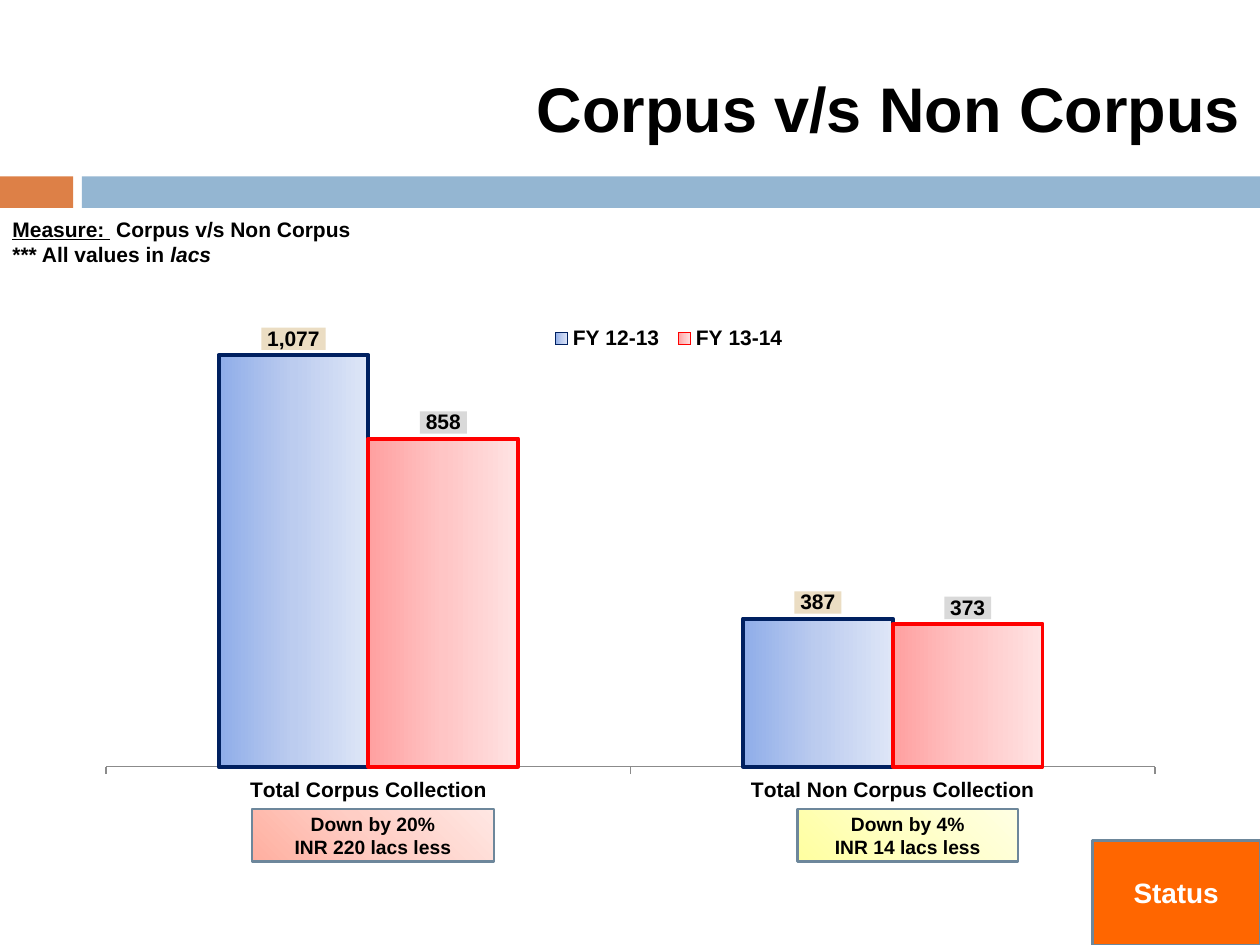
"""Build the slide comparing corpus and non corpus collections."""
from copy import deepcopy
from dataclasses import dataclass

from lxml import etree
from pptx import Presentation
from pptx.chart.data import CategoryChartData
from pptx.dml.color import RGBColor
from pptx.enum.chart import XL_CHART_TYPE, XL_LABEL_POSITION, XL_LEGEND_POSITION, XL_TICK_MARK
from pptx.enum.shapes import MSO_SHAPE
from pptx.enum.text import MSO_ANCHOR, MSO_AUTO_SIZE, PP_ALIGN
from pptx.oxml.ns import qn
from pptx.util import Inches, Pt

COLUMNS = XL_CHART_TYPE.COLUMN_CLUSTERED
OUTSIDE_END = XL_LABEL_POSITION.OUTSIDE_END
LEGEND_TOP = XL_LEGEND_POSITION.TOP
TICK_OUTSIDE, TICK_NONE = XL_TICK_MARK.OUTSIDE, XL_TICK_MARK.NONE
RECTANGLE = MSO_SHAPE.RECTANGLE
MIDDLE = MSO_ANCHOR.MIDDLE
LEFT, CENTER = PP_ALIGN.LEFT, PP_ALIGN.CENTER
NO_AUTOSIZE = MSO_AUTO_SIZE.NONE
TITLE_ONLY = 5


@dataclass(frozen=True)
class Theme:
    """Fonts, type sizes and colours of the slide."""
    font: str = "Arial"
    title_size: float = 36
    status_size: float = 16
    body_size: float = 12
    note_size: float = 11
    text: str = "000000"
    light_text: str = "FFFFFF"
    accent: str = "DD8047"
    band: str = "94B6D2"
    status: str = "FF6600"
    outline: str = "6D879B"
    axis: str = "8B8B8B"
    blues: tuple = ("8FADE9", "BCCCEF", "DEE6F7")
    reds: tuple = ("FFA0A0", "FFC5C5", "FFE3E3")
    yellows: tuple = ("FFFFA0", "FFFFC5", "FFFFE3")
    pinks: tuple = ("FFAFA0", "FFCEC5", "FFE7E3")
    blue_line: str = "002060"
    red_line: str = "FF0000"
    tan_label: str = "EBDDC3"
    grey_label: str = "D9D9D9"


THEME = Theme()
NUMBER_FORMAT = '_ * #,##0_ ;_ * \\-#,##0_ ;_ * "-"??_ ;_ '
CATEGORIES = ("Total Corpus Collection", "Total Non Corpus Collection")
SERIES = (
    ("FY 12-13", (1077, 387), THEME.blues, THEME.blue_line, THEME.tan_label),
    ("FY 13-14", (858, 373), THEME.reds, THEME.red_line, THEME.grey_label),
)


def place(*lengths):
    """Convert left, top, width and height from inches."""
    return tuple(Inches(length) for length in lengths)


def style_font(font, size, color=THEME.text):
    """Apply the bold slide font in a given size and colour."""
    font.name, font.size, font.bold = THEME.font, Pt(size), True
    font.color.rgb = RGBColor.from_string(color)


def paint(fill, color):
    """Fill with one solid colour."""
    fill.solid()
    fill.fore_color.rgb = RGBColor.from_string(color)


def paint_gradient(fill, element, colors, angle):
    """Fill with three evenly spaced colours."""
    fill.gradient()
    fill.gradient_angle = angle
    stop_list = element.find(".//" + qn("a:gsLst"))
    first_stop = stop_list[0]
    stops = [deepcopy(first_stop) for _ in colors]
    for stop, color, position in zip(stops, colors, (0, 50000, 100000)):
        stop.set("pos", str(position))
        stop.remove(stop[0])
        etree.SubElement(stop, qn("a:srgbClr"), val=color)
    stop_list[:] = stops


def draw_line(line, color, width):
    """Set the colour and width of a line."""
    line.color.rgb = RGBColor.from_string(color)
    line.width = Pt(width)


def add_box(slide, box, colors, lines=(), size=THEME.note_size, color=THEME.text):
    """Add a rectangle, outlined and centred when it carries text."""
    shape = slide.shapes.add_shape(RECTANGLE, *place(*box))
    shape.shadow.inherit = False
    if isinstance(colors, str):
        paint(shape.fill, colors)
    else:
        paint_gradient(shape.fill, shape._element, colors, 45)
    if not lines:
        shape.line.fill.background()
        return
    draw_line(shape.line, THEME.outline, 1.5)
    frame = shape.text_frame
    frame.vertical_anchor = MIDDLE
    frame.text = "\n".join(lines)
    for paragraph in frame.paragraphs:
        paragraph.alignment = CENTER
        style_font(paragraph.font, size, color)


def set_title(slide, text):
    """Move and format the title placeholder."""
    title = slide.shapes.title
    title.left, title.top, title.width, title.height = place(4.16, 0.5, 5.84, 0.71)
    frame = title.text_frame
    frame.text = text
    frame.word_wrap = False
    frame.auto_size = NO_AUTOSIZE
    frame.vertical_anchor = MIDDLE
    paragraph = frame.paragraphs[0]
    paragraph.alignment = LEFT
    style_font(paragraph.font, THEME.title_size)


def add_measure(slide):
    """Add the note on the measure and its unit."""
    frame = slide.shapes.add_textbox(*place(0, 1.67, 2.91, 0.71)).text_frame
    frame.word_wrap = False
    measure, unit = frame.paragraphs[0], frame.add_paragraph()
    for paragraph in (measure, unit):
        style_font(paragraph.font, THEME.body_size)
    heading = measure.add_run()
    heading.text = "Measure: "
    heading.font.underline = True
    measure.add_run().text = " Corpus v/s Non Corpus"
    unit.add_run().text = "*** All values in "
    unit_name = unit.add_run()
    unit_name.text = "lacs"
    unit_name.font.italic = True


def set_layout(element, shares, inner=False):
    """Place a chart part by shares of the chart's size."""
    for old_layout in element.findall(qn("c:layout")):
        element.remove(old_layout)
    layout = etree.Element(qn("c:layout"))
    manual = etree.SubElement(layout, qn("c:manualLayout"))
    settings = [("layoutTarget", "inner")] if inner else []
    settings += [("xMode", "edge"), ("yMode", "edge"), *zip("xywh", shares)]
    for name, value in settings:
        etree.SubElement(manual, qn("c:" + name), val=str(value))
    element.insert(0 if inner else 1, layout)


def style_series(series, colors, line_color, label_color):
    """Format the columns and value labels of one series."""
    paint_gradient(series.format.fill, series._element, colors, 0)
    draw_line(series.format.line, line_color, 2.25)
    labels = series.data_labels
    labels.show_value = True
    labels.position = OUTSIDE_END
    labels.number_format = NUMBER_FORMAT
    labels.number_format_is_linked = False
    style_font(labels.font, THEME.body_size)
    properties = etree.Element(qn("c:spPr"))
    solid = etree.SubElement(properties, qn("a:solidFill"))
    etree.SubElement(solid, qn("a:srgbClr"), val=label_color)
    labels._element.find(qn("c:txPr")).addprevious(properties)


def add_collection_chart(slide):
    """Add the clustered columns of both years."""
    data = CategoryChartData()
    data.categories = CATEGORIES
    for name, values, *_ in SERIES:
        data.add_series(name, values)
    chart = slide.shapes.add_chart(COLUMNS, *place(0.67, 2, 8.67, 4.44), data).chart
    style_font(chart.font, THEME.body_size)
    chart.has_title = False
    chart.has_legend = True
    chart.legend.position = LEGEND_TOP
    chart.legend.include_in_layout = False
    style_font(chart.legend.font, THEME.body_size)
    set_layout(chart.legend._element, (0.42, 0.12, 0.23, 0.07))
    plot = chart.plots[0]
    plot.gap_width, plot.overlap, plot.vary_by_categories = 150, 0, False
    set_layout(plot._element.getparent(), (0.02, 0.1, 0.96, 0.82), inner=True)
    for series, (_, _, *colors) in zip(plot.series, SERIES):
        style_series(series, *colors)
    values, categories = chart.value_axis, chart.category_axis
    values.minimum_scale, values.maximum_scale = 0, 1200
    values.has_major_gridlines = values.visible = False
    categories.major_tick_mark, categories.minor_tick_mark = TICK_OUTSIDE, TICK_NONE
    draw_line(categories.format.line, THEME.axis, 1)
    style_font(categories.tick_labels.font, THEME.body_size)


def main():
    """Build and save the slide."""
    presentation = Presentation()
    presentation.slide_width, presentation.slide_height = place(10, 7.5)
    slide = presentation.slides.add_slide(presentation.slide_layouts[TITLE_ONLY])
    add_box(slide, (0, 1.4, 0.58, 0.25), THEME.accent)
    add_box(slide, (0.65, 1.4, 9.35, 0.25), THEME.band)
    set_title(slide, "Corpus v/s Non Corpus")
    add_collection_chart(slide)
    add_box(slide, (8.67, 6.67, 1.33, 0.83), THEME.status, ("Status",),
            THEME.status_size, THEME.light_text)
    add_measure(slide)
    add_box(slide, (6.33, 6.42, 1.75, 0.42), THEME.yellows, ("Down by 4%", "INR 14 lacs less"))
    add_box(slide, (2, 6.42, 1.92, 0.42), THEME.pinks, ("Down by 20%", "INR 220 lacs less"))
    presentation.save("out.pptx")


if __name__ == "__main__":
    main()
